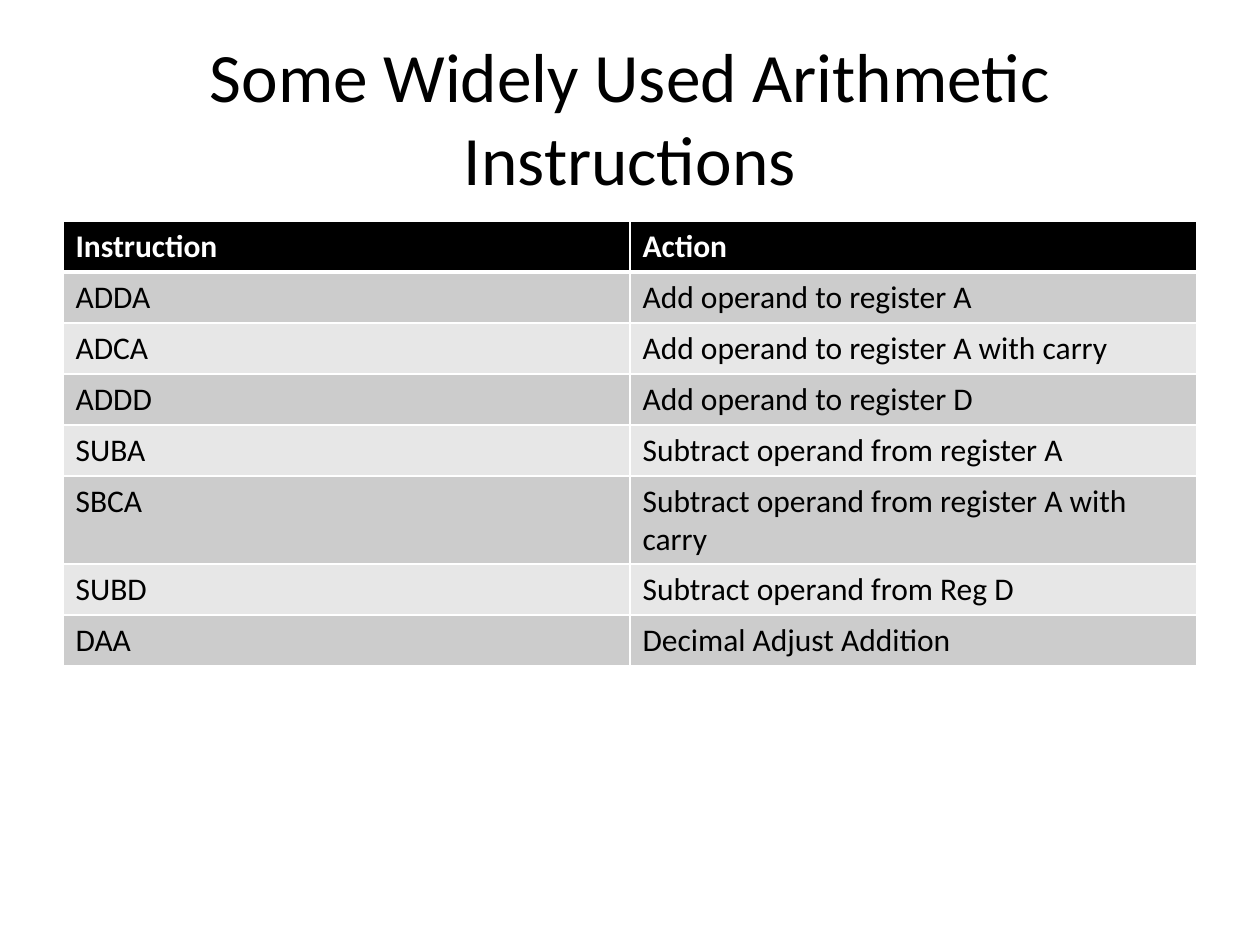
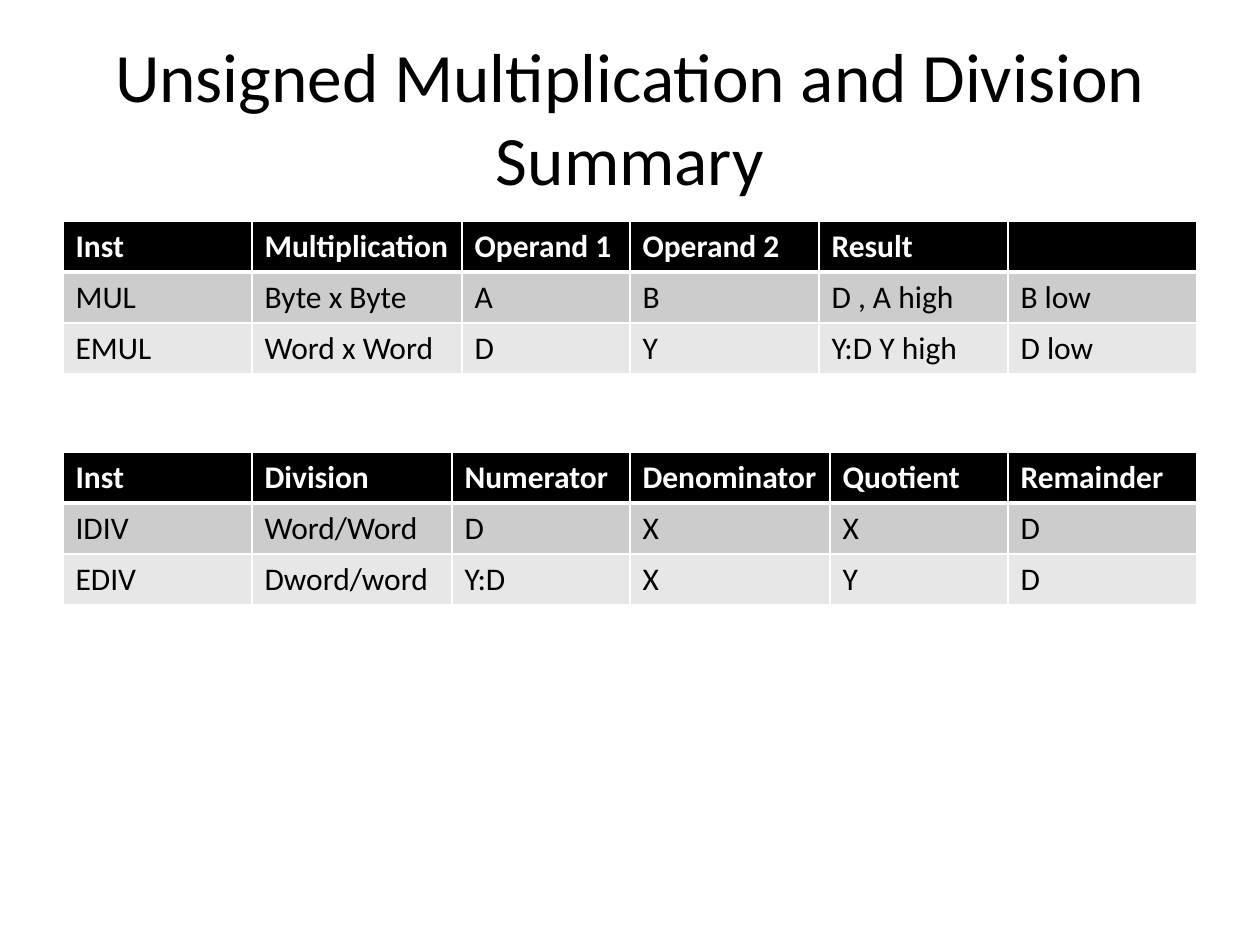
import dataclasses

import lxml.etree
import pptx
import pptx.dml.color
import pptx.enum.text
import pptx.oxml.ns
import pptx.util

# Each slide: a title and its tables; each table: top, column widths, rows.
SLIDES = [
    ("Some Widely Used Arithmetic Instructions", [
        (221, [567, 567], [
            ("Instruction", "Action"),
            ("ADDA", "Add operand to register A"),
            ("ADCA", "Add operand to register A with carry"),
            ("ADDD", "Add operand to register D"),
            ("SUBA", "Subtract operand from register A"),
            ("SBCA", "Subtract operand from register A with carry"),
            ("SUBD", "Subtract operand from Reg D"),
            ("DAA", "Decimal Adjust Addition"),
        ]),
    ]),
    ("Unsigned Multiplication and Division Summary", [
        (221, [189, 210, 168, 189, 189, 189], [
            ("Inst", "Multiplication", "Operand 1", "Operand 2", "Result", ""),
            ("MUL", "Byte x Byte", "A", "B", "D , A high", "B low"),
            ("EMUL", "Word x Word", "D", "Y", "Y:D Y high", "D low"),
        ]),
        (452, [189, 200, 178, 200, 178, 189], [
            ("Inst", "Division", "Numerator", "Denominator", "Quotient",
             "Remainder"),
            ("IDIV", "Word/Word", "D", "X", "X", "D"),
            ("EDIV", "Dword/word", "Y:D", "X", "Y", "D"),
        ]),
    ]),
]


@dataclasses.dataclass(frozen=True)
class Theme:
    """Colours, font and type sizes of the deck."""
    font: str = "Calibri"
    ink: str = "000000"
    paper: str = "FFFFFF"
    bands: tuple = ("CCCCCC", "E7E7E7")
    title: float = 39.6
    body: float = 18
    rule: float = 1
    thick: float = 3


THEME = Theme()
WIDE, HIGH = 1260, 945
LEFT, SPAN = 63, 1134
HEAD = (LEFT, 38, SPAN, 157)
ROW = 51


def px(count):
    """Turn pixels into EMU."""
    return pptx.util.Emu(count * 914400 // 126)


def rgb(code):
    """Turn a hex code into a colour."""
    return pptx.dml.color.RGBColor.from_string(code)


def write(frame, text, size=THEME.body, color=THEME.ink, bold=False,
          align=pptx.enum.text.PP_ALIGN.LEFT):
    """Put formatted text into a text frame."""
    para = frame.paragraphs[0]
    para.alignment = align
    para.font.size = pptx.util.Pt(size)
    if text:
        run = para.add_run()
        run.text = text
        font = run.font
        font.name, font.size, font.bold = THEME.font, pptx.util.Pt(size), bold
        font.color.rgb = rgb(color)


def edge(cell, base):
    """Rule a cell on four sides, with its own width at the base."""
    props = cell._tc.get_or_add_tcPr()
    tag = pptx.oxml.ns.qn
    for side in "LRTB":
        width = base if side == "B" else THEME.rule
        line = lxml.etree.SubElement(props, tag("a:ln" + side),
                                     w=str(pptx.util.Pt(width)))
        fill = lxml.etree.SubElement(line, tag("a:solidFill"))
        lxml.etree.SubElement(fill, tag("a:srgbClr"), val=THEME.paper)


def add_title(slide, text):
    """Add the centred slide title."""
    frame = slide.shapes.add_textbox(*map(px, HEAD)).text_frame
    frame.word_wrap = True
    frame.vertical_anchor = pptx.enum.text.MSO_ANCHOR.MIDDLE
    write(frame, text, size=THEME.title,
          align=pptx.enum.text.PP_ALIGN.CENTER)


def add_grid(slide, top, widths, rows):
    """Add a table with a dark header and banded rows."""
    box = map(px, (LEFT, top, SPAN, ROW * len(rows)))
    table = slide.shapes.add_table(len(rows), len(widths), *box).table
    for col, width in zip(table.columns, widths):
        col.width = px(width)
    for i, row in enumerate(rows):
        head = i == 0
        back = THEME.ink if head else THEME.bands[(i - 1) % 2]
        for j, text in enumerate(row):
            cell = table.cell(i, j)
            edge(cell, THEME.thick if head else THEME.rule)
            cell.fill.solid()
            cell.fill.fore_color.rgb = rgb(back)
            write(cell.text_frame, text, bold=head,
                  color=THEME.paper if head else THEME.ink)


def main():
    """Build the deck and save it."""
    deck = pptx.Presentation()
    deck.slide_width, deck.slide_height = px(WIDE), px(HIGH)
    for title, grids in SLIDES:
        slide = deck.slides.add_slide(deck.slide_layouts[6])
        add_title(slide, title)
        for grid in grids:
            add_grid(slide, *grid)
    deck.save("out.pptx")


main()
